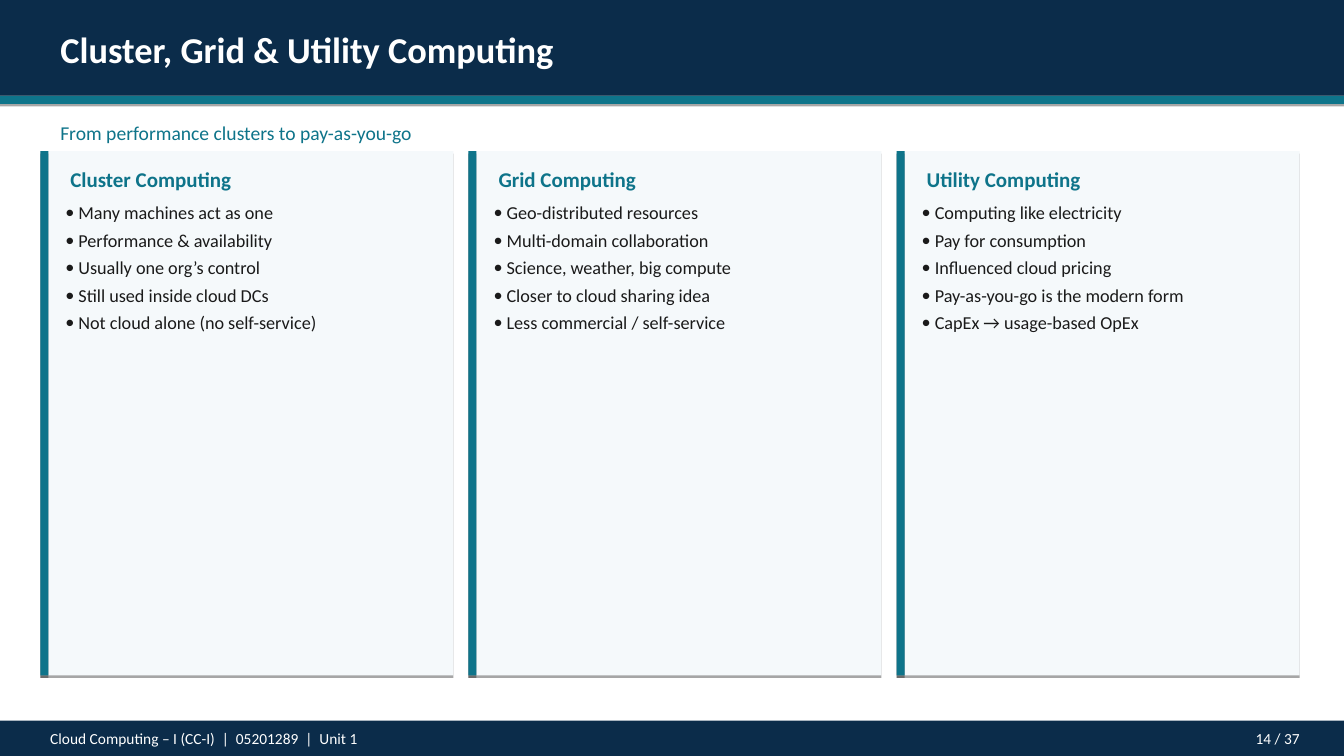
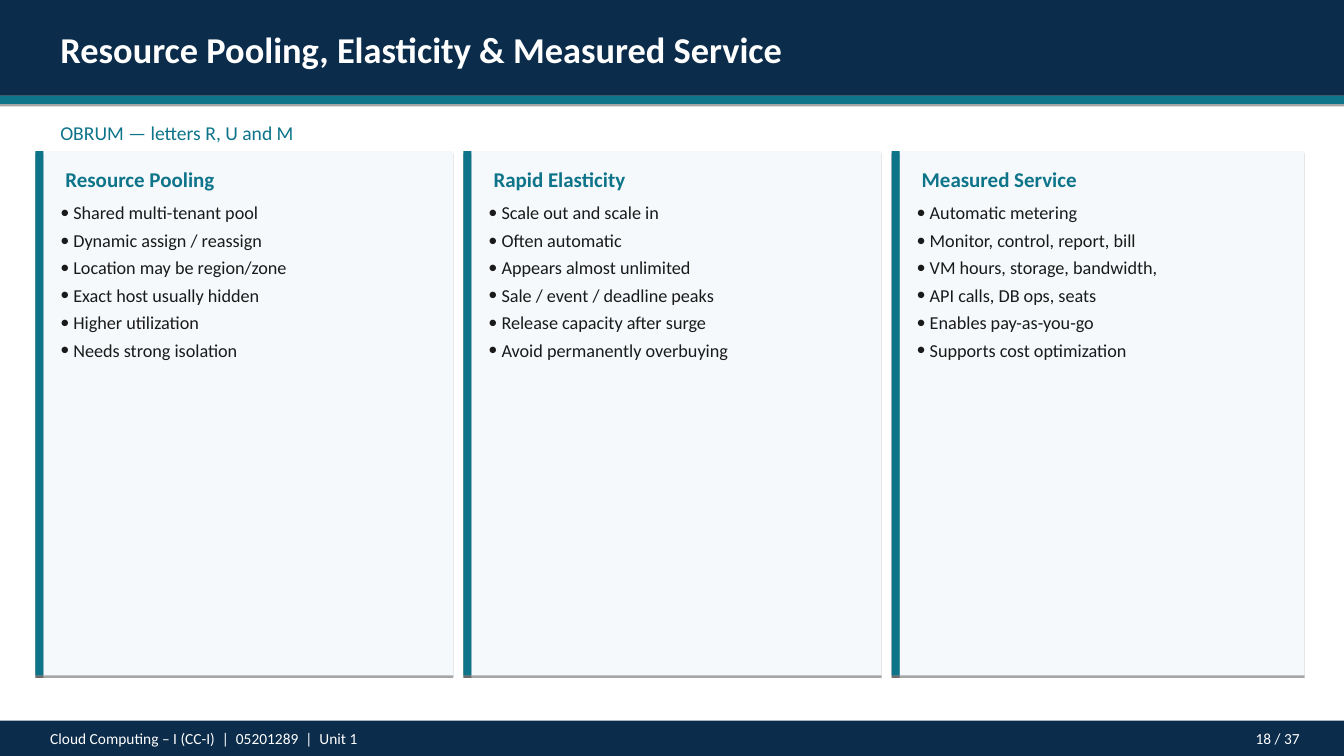
from dataclasses import dataclass

from lxml.etree import SubElement
from pptx import Presentation
from pptx.dml.color import RGBColor
from pptx.enum.shapes import MSO_SHAPE
from pptx.enum.text import MSO_ANCHOR, MSO_AUTO_SIZE, PP_ALIGN
from pptx.oxml.ns import qn
from pptx.util import Inches, Pt

COURSE = "Cloud Computing – I (CC-I)  |  05201289  |  Unit 1"
PAGE_COUNT = 37

TOPICS = [
    {
        "title": "Cluster, Grid & Utility Computing",
        "subtitle": "From performance clusters to pay-as-you-go",
        "page": 14,
        "left": 0.4,
        "gap": 0.15,
        "cards": [
            ("Cluster Computing", [
                "Many machines act as one",
                "Performance & availability",
                "Usually one org’s control",
                "Still used inside cloud DCs",
                "Not cloud alone (no self-service)",
            ]),
            ("Grid Computing", [
                "Geo-distributed resources",
                "Multi-domain collaboration",
                "Science, weather, big compute",
                "Closer to cloud sharing idea",
                "Less commercial / self-service",
            ]),
            ("Utility Computing", [
                "Computing like electricity",
                "Pay for consumption",
                "Influenced cloud pricing",
                "Pay-as-you-go is the modern form",
                "CapEx → usage-based OpEx",
            ]),
        ],
    },
    {
        "title": "Resource Pooling, Elasticity & Measured Service",
        "subtitle": "OBRUM — letters R, U and M",
        "page": 18,
        "left": 0.35,
        "gap": 0.1,
        "cards": [
            ("Resource Pooling", [
                "Shared multi-tenant pool",
                "Dynamic assign / reassign",
                "Location may be region/zone",
                "Exact host usually hidden",
                "Higher utilization",
                "Needs strong isolation",
            ]),
            ("Rapid Elasticity", [
                "Scale out and scale in",
                "Often automatic",
                "Appears almost unlimited",
                "Sale / event / deadline peaks",
                "Release capacity after surge",
                "Avoid permanently overbuying",
            ]),
            ("Measured Service", [
                "Automatic metering",
                "Monitor, control, report, bill",
                "VM hours, storage, bandwidth,",
                "API calls, DB ops, seats",
                "Enables pay-as-you-go",
                "Supports cost optimization",
            ]),
        ],
    },
]


@dataclass(frozen=True)
class Theme:
    font: str = "Calibri"
    navy: str = "0B2C4A"
    teal: str = "0E748A"
    card: str = "F5F9FB"
    ink: str = "1A1A1A"
    white: str = "FFFFFF"
    shadow: str = "000000"
    title_size: int = 26
    heading_size: int = 15
    subtitle_size: int = 14
    bullet_size: int = 13
    footer_size: int = 11


THEME = Theme()
SLIDE_WIDTH, SLIDE_HEIGHT = 13.34, 7.5
CARD_PITCH = 4.25
CARD_SPAN = 13.3  # left and right card margins are equal within this width
CARD_TOP, CARD_HEIGHT = 1.5, 5.2
ACCENT = 0.08
BULLET_INDENT = 0.13
BULLET_PITCH = 0.28


def add_panel(slide, left, top, width, height, color):
    """Add a borderless rectangle with a crisp shadow just below it."""
    panel = slide.shapes.add_shape(
        MSO_SHAPE.RECTANGLE, Inches(left), Inches(top), Inches(width), Inches(height))
    panel.fill.solid()
    panel.fill.fore_color.rgb = RGBColor.from_string(color)
    panel.line.fill.background()
    panel.shadow.inherit = False
    effects = panel.element.spPr.find(qn("a:effectLst"))
    shadow = SubElement(effects, qn("a:outerShdw"), blurRad="0",
                        dist=str(Pt(1.8)), dir="5400000", rotWithShape="0")
    tone = SubElement(shadow, qn("a:srgbClr"), val=THEME.shadow)
    SubElement(tone, qn("a:alpha"), val="35000")


def add_bullet(paragraph):
    properties = paragraph._p.get_or_add_pPr()
    properties.set("marL", str(Inches(BULLET_INDENT)))
    properties.set("indent", str(-Inches(BULLET_INDENT)))
    SubElement(properties, qn("a:buFont"), typeface=THEME.font)
    SubElement(properties, qn("a:buChar"), char="•")


def write(slide, text, left, top, width, height, *, size, color, bold=False,
          align=PP_ALIGN.LEFT, bulleted=False, space_after=0, holder=None):
    """Write a line, or a list of lines, into holder or a new text box."""
    box = holder or slide.shapes.add_textbox(0, 0, 0, 0)
    box.left, box.top = Inches(left), Inches(top)
    box.width, box.height = Inches(width), Inches(height)
    frame = box.text_frame
    frame.word_wrap = True
    frame.auto_size = MSO_AUTO_SIZE.NONE
    frame.vertical_anchor = MSO_ANCHOR.TOP
    lines = [text] if isinstance(text, str) else text
    frame.text = "\n".join(lines)
    for paragraph in frame.paragraphs:
        paragraph.alignment = align
        paragraph.space_before = Pt(0)
        paragraph.space_after = Pt(space_after)
        if bulleted:
            add_bullet(paragraph)
        font = paragraph.font
        font.name, font.size, font.bold = THEME.font, Pt(size), bold
        font.color.rgb = RGBColor.from_string(color)


def add_frame(slide, topic):
    """Add the title band, subtitle and footer that every slide has."""
    add_panel(slide, 0, 0, SLIDE_WIDTH, 0.95, THEME.navy)
    add_panel(slide, 0, 0.95, SLIDE_WIDTH, ACCENT, THEME.teal)
    title = slide.shapes.title
    title.element.getparent().append(title.element)  # bring in front of the band
    write(slide, topic["title"], 0.5, 0.22, 11.5, 0.53, holder=title,
          size=THEME.title_size, color=THEME.white, bold=True)
    write(slide, topic["subtitle"], 0.5, 1.15, 12, 0.33,
          size=THEME.subtitle_size, color=THEME.teal)
    add_panel(slide, 0, 7.15, SLIDE_WIDTH, 0.35, THEME.navy)
    write(slide, COURSE, 0.4, 7.18, 9, 0.28,
          size=THEME.footer_size, color=THEME.white)
    write(slide, f"{topic['page']} / {PAGE_COUNT}", 11.2, 7.18, 1.8, 0.28,
          size=THEME.footer_size, color=THEME.white, align=PP_ALIGN.RIGHT)


def add_card(slide, left, width, heading, points):
    add_panel(slide, left, CARD_TOP, width, CARD_HEIGHT, THEME.card)
    add_panel(slide, left, CARD_TOP, ACCENT, CARD_HEIGHT, THEME.teal)
    write(slide, heading, left + 0.2, CARD_TOP + 0.1, width - 0.3, 0.35,
          size=THEME.heading_size, color=THEME.teal, bold=True)
    write(slide, points, left + 0.15, CARD_TOP + 0.45, width - 0.25,
          BULLET_PITCH * len(points) + 0.02, size=THEME.bullet_size,
          color=THEME.ink, bulleted=True, space_after=4)


def add_topic(deck, topic):
    slide = deck.slides.add_slide(deck.slide_layouts.get_by_name("Title Only"))
    slide.background.fill.solid()
    slide.background.fill.fore_color.rgb = RGBColor.from_string(THEME.white)
    add_frame(slide, topic)
    right_edge = CARD_SPAN - topic["left"]
    for index, (heading, points) in enumerate(topic["cards"]):
        left = topic["left"] + index * CARD_PITCH
        width = min(CARD_PITCH - topic["gap"], right_edge - left)
        add_card(slide, left, width, heading, points)


def main():
    deck = Presentation()
    deck.slide_width, deck.slide_height = Inches(SLIDE_WIDTH), Inches(SLIDE_HEIGHT)
    for topic in TOPICS:
        add_topic(deck, topic)
    deck.save("out.pptx")


if __name__ == "__main__":
    main()
